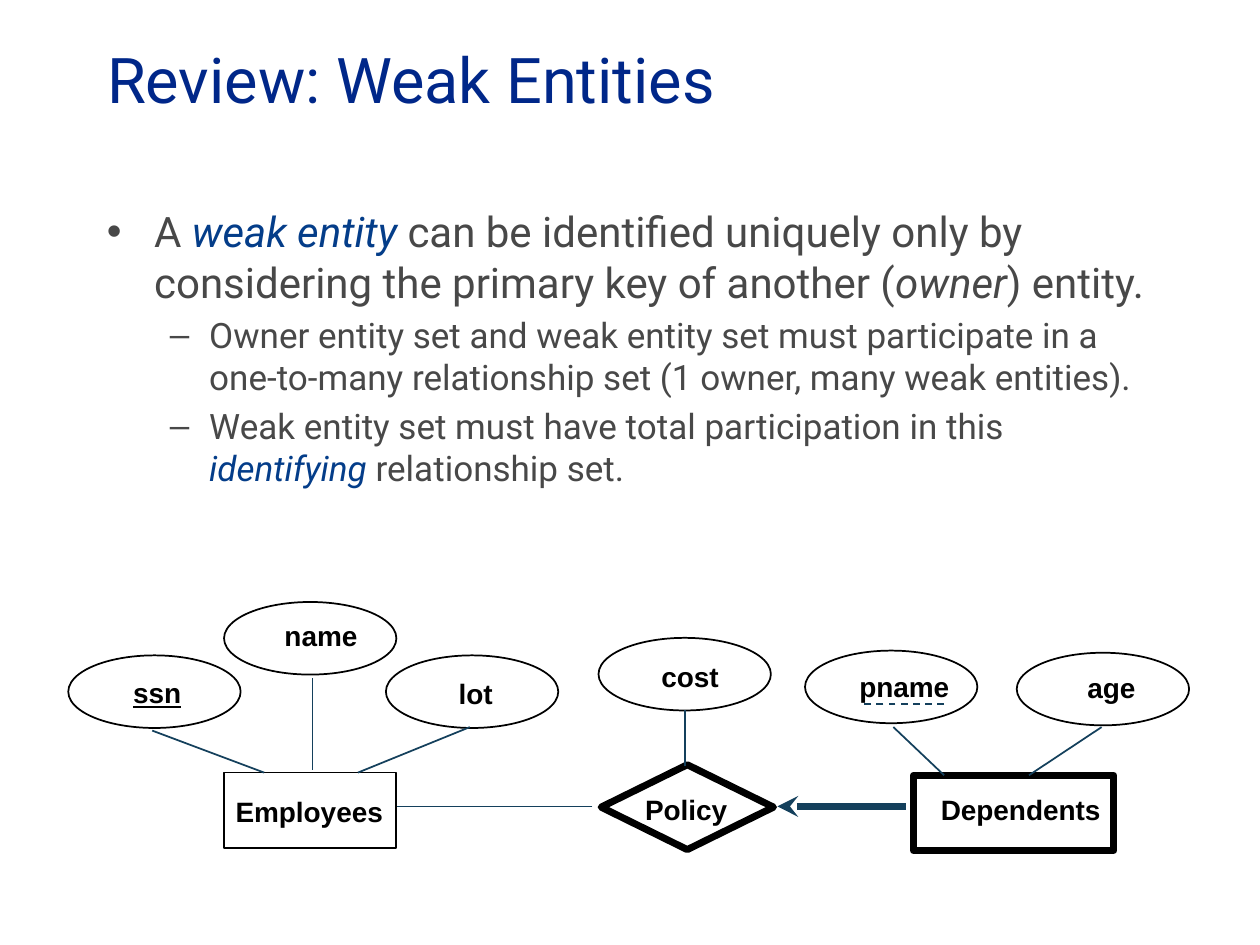
from lxml import etree
from pptx import Presentation
from pptx.dml.color import RGBColor
from pptx.enum.dml import MSO_LINE
from pptx.enum.shapes import MSO_CONNECTOR, MSO_SHAPE
from pptx.enum.text import MSO_ANCHOR, MSO_AUTO_SIZE, PP_ALIGN
from pptx.oxml.ns import qn
from pptx.util import Pt

COLORS = {
    "title": "002789",
    "body": "484848",
    "term": "043D89",
    "ink": "000000",
    "link": "14405C",
}
BODY_FONT = "Roboto"
LABEL_FONT = "Arial"

# Bullet level: size, left margin, hanging indent, space before, character
LEVELS = [
    (24, 27, 27, 4.8, "•"),
    (20, 58.5, 22.5, 4, "–"),
]
# Each bullet: level, then runs of (text, style)
BULLETS = [
    (0, [("A ", ""), ("weak entity ", "term"),
         ("can be identified uniquely only by considering the primary key "
          "of another (", ""),
         ("owner", "italic"), (") entity.", "")]),
    (1, [("Owner entity set and weak entity set must participate in a "
          "one-to-many relationship set (1 owner, many weak entities).", "")]),
    (1, [("Weak entity set must have total participation in this ", ""),
         ("identifying ", "term"), ("relationship set.", "")]),
]

# Diagram parts, in points from the diagram's corner
ATTRIBUTE_SIZE = (98.5, 41.5)
# Attribute: name, oval corner, label box (left, top, width)
ATTRIBUTES = [
    ("ssn", (0, 30.5), (30, 38.5, 42)),
    ("name", (89, 0), (116.5, 6, 56)),
    ("lot", (181.5, 30.5), (216, 39, 34)),
    ("cost", (303, 20.5), (331.8, 29.3, 47)),
    ("pname", (421, 27.8), (445, 34.9, 67)),
    ("age", (542, 29), (575.3, 35.5, 42)),
]
# Entity or relationship: name, shape, box, line width, label box
SETS = [
    ("Employees", MSO_SHAPE.RECTANGLE, (89, 97.5, 98.5, 43), 1,
     (88.5, 106.7, 98.5)),
    ("Policy", MSO_SHAPE.DIAMOND, (304.5, 93, 98.5, 48.5), 4,
     (322.5, 105.3, 63)),
    ("Dependents", MSO_SHAPE.RECTANGLE, (483, 99, 114.5, 43), 4,
     (491.5, 105.3, 107)),
]
# Thin links from attributes to their set, and Policy to Employees
LINKS = [
    (48, 73.5, 112, 97.5),
    (139.5, 43.5, 139.5, 96),
    (229.5, 71.5, 165.5, 97.5),
    (352.5, 94, 352.5, 61.5),
    (471.5, 71.5, 500.5, 99),
    (590.5, 71.5, 549, 99),
    (299.5, 116.8, 188, 116.8),
]
PARTIAL_KEY = (500.5, 58.5, 452, 58.5)
TOTAL_PARTICIPATION = (405.2, 116.8, 478.7, 116.8)


def add_run(paragraph, text, font_name, size, color):
    run = paragraph.add_run()
    run.text = text
    run.font.name = font_name
    run.font.size = Pt(size)
    run.font.color.rgb = RGBColor.from_string(COLORS[color])
    return run


def add_title(slide, left, top, width, height):
    title = slide.shapes.title
    title.left, title.top = Pt(left), Pt(top)
    title.width, title.height = Pt(width), Pt(height)
    frame = title.text_frame
    frame.auto_size = MSO_AUTO_SIZE.NONE
    frame.vertical_anchor = MSO_ANCHOR.MIDDLE
    heading = frame.paragraphs[0]
    heading.alignment = PP_ALIGN.LEFT
    add_run(heading, "Review: Weak Entities", BODY_FONT, 36, "title")


def add_bullets(slide, left, top, width, height):
    body = slide.shapes.add_textbox(Pt(left), Pt(top), Pt(width), Pt(height))
    frame = body.text_frame
    frame.word_wrap = True
    for index, (level, runs) in enumerate(BULLETS):
        size, margin, hanging, before, mark = LEVELS[level]
        bullet = frame.add_paragraph() if index else frame.paragraphs[0]
        bullet.level = level
        bullet.space_before = Pt(before)
        for text, style in runs:
            color = "term" if style == "term" else "body"
            run = add_run(bullet, text, BODY_FONT, size, color)
            run.font.italic = bool(style)
        properties = bullet._p.get_or_add_pPr()
        properties.set("marL", str(Pt(margin)))
        properties.set("indent", str(-Pt(hanging)))
        etree.SubElement(properties, qn("a:buFont"), typeface=LABEL_FONT)
        etree.SubElement(properties, qn("a:buChar"), char=mark)


def add_outline(slide, kind, left, top, width, height, weight=1):
    outline = slide.shapes.add_shape(
        kind, Pt(left), Pt(top), Pt(width), Pt(height))
    outline.shadow.inherit = False
    outline.fill.background()
    outline.line.color.rgb = RGBColor.from_string(COLORS["ink"])
    outline.line.width = Pt(weight)


def add_label(slide, text, left, top, width):
    label = slide.shapes.add_textbox(Pt(left), Pt(top), Pt(width), Pt(26))
    frame = label.text_frame
    frame.word_wrap = False
    frame.auto_size = MSO_AUTO_SIZE.SHAPE_TO_FIT_TEXT
    run = add_run(frame.paragraphs[0], text, LABEL_FONT, 16, "ink")
    run.font.bold = True
    run.font.underline = text == "ssn"  # primary key


def add_link(slide, left, top, ends, weight=1):
    x1, y1, x2, y2 = ends
    link = slide.shapes.add_connector(
        MSO_CONNECTOR.STRAIGHT,
        Pt(left + x1), Pt(top + y1), Pt(left + x2), Pt(top + y2))
    link.line.color.rgb = RGBColor.from_string(COLORS["link"])
    link.line.width = Pt(weight)
    etree.SubElement(link._element.spPr, qn("a:effectLst"))
    return link


def add_er_diagram(slide, left, top):
    # Attributes
    for name, (x, y), (label_x, label_y, label_width) in ATTRIBUTES:
        add_outline(slide, MSO_SHAPE.OVAL, left + x, top + y, *ATTRIBUTE_SIZE)
        add_label(slide, name, left + label_x, top + label_y, label_width)

    # Entity sets and the identifying relationship
    for name, kind, box, weight, (label_x, label_y, label_width) in SETS:
        x, y, width, height = box
        add_outline(slide, kind, left + x, top + y, width, height, weight)
        add_label(slide, name, left + label_x, top + label_y, label_width)

    # Links, the partial key's dashed underline and the thick arrow
    for ends in LINKS:
        add_link(slide, left, top, ends)
    partial_key = add_link(slide, left, top, PARTIAL_KEY)
    partial_key.line.dash_style = MSO_LINE.DASH
    arrow = add_link(slide, left, top, TOTAL_PARTICIPATION, weight=4)
    etree.SubElement(arrow.line._get_or_add_ln(), qn("a:headEnd"),
                     type="stealth")


def main():
    deck = Presentation()
    deck.slide_width, deck.slide_height = Pt(720), Pt(540)
    slide = deck.slides.add_slide(deck.slide_layouts.get_by_name("Title Only"))
    add_title(slide, 54, 0, 612, 90)
    add_bullets(slide, 54, 114, 612, 402)
    add_er_diagram(slide, 39, 344)
    deck.save("out.pptx")


if __name__ == "__main__":
    main()
